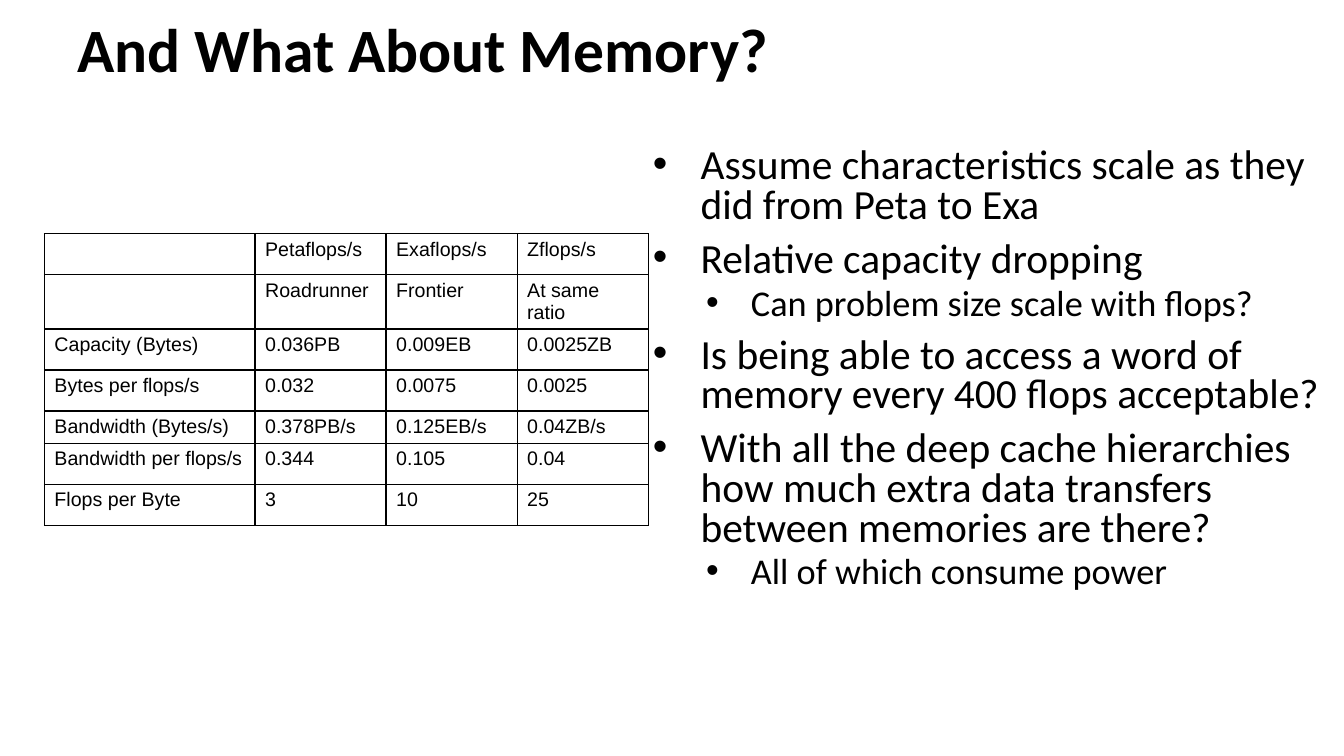
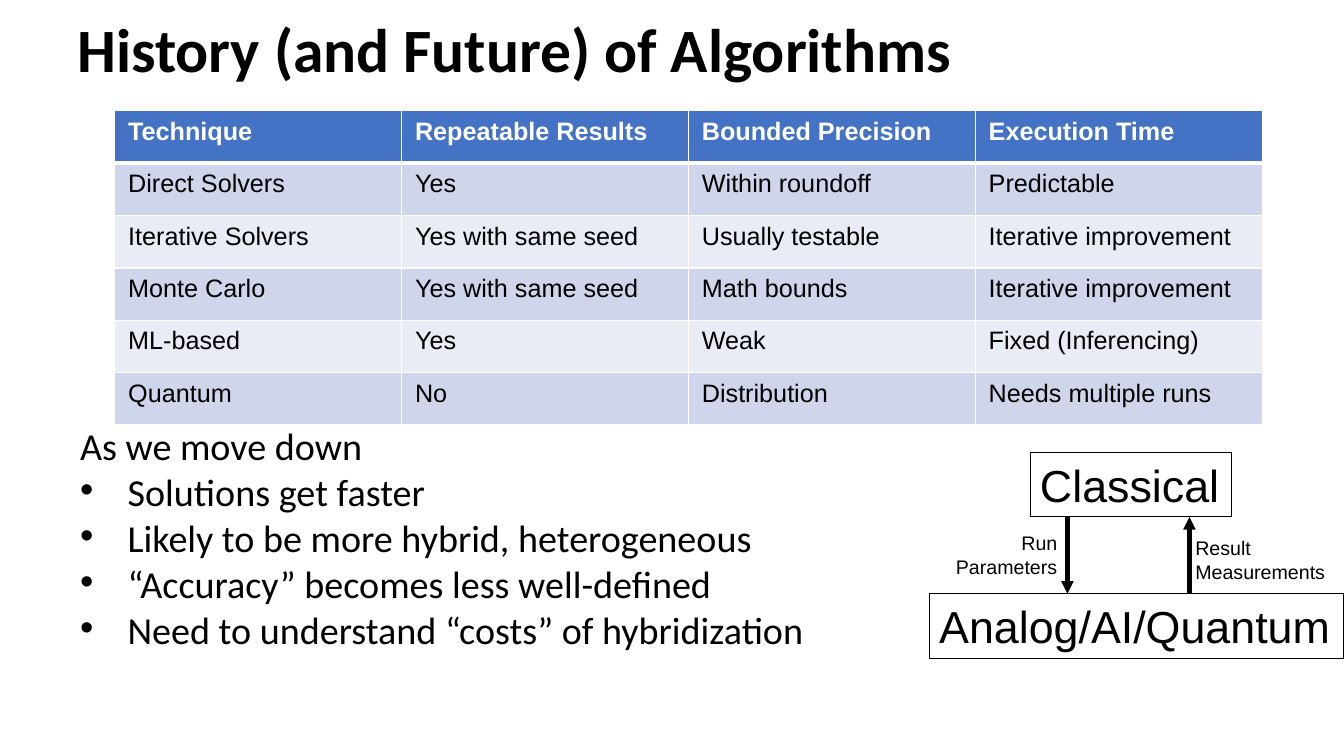
import pptx
import pptx.util
import pptx.dml.color
import pptx.enum.shapes
import pptx.enum.text
import pptx.oxml.ns
from lxml import etree

Pt = pptx.util.Pt
RGB = pptx.dml.color.RGBColor
ALIGN = pptx.enum.text.PP_ALIGN
FIT = pptx.enum.text.MSO_AUTO_SIZE
qn = pptx.oxml.ns.qn

BLACK = RGB(0x00, 0x00, 0x00)
WHITE = RGB(0xFF, 0xFF, 0xFF)
BLUE = RGB(0x44, 0x72, 0xC4)
DARK = RGB(0xCF, 0xD5, 0xEA)
LIGHT = RGB(0xE9, 0xEB, 0xF5)
HEAD, TEXT = "Calibri", "Arial"


def say(para, text, size, face, color=BLACK, bold=False):
    """Add one formatted run to a paragraph."""
    run = para.add_run()
    run.text = text
    run.font.size = Pt(size)
    run.font.name = face
    run.font.bold = bold
    run.font.color.rgb = color


def edge(cell, side, color, width):
    """Draw one border of a table cell; side is L, R, T or B."""
    line = etree.SubElement(cell._tc.get_or_add_tcPr(), qn("a:ln" + side), w=str(Pt(width)))
    fill = etree.SubElement(line, qn("a:solidFill"))
    etree.SubElement(fill, qn("a:srgbClr"), val=str(color))


# Item level: None is plain text, 0 and 1 are bullets.
# Level: (left margin, first-line indent, share of the space before)
LEVELS = {None: (2, 0, 1), 0: (36, -34, 1), 1: (72, -32, 0.5)}

SLIDES = [
    dict(
        title="And What About Memory?",
        box=(457.2, 102.2, 508.3, 368), sizes={0: 29.6, 1: 25.9}, lead=0.8,
        items=[
            (0, "Assume characteristics scale as they did from Peta to Exa"),
            (0, "Relative capacity dropping"),
            (1, "Can problem size scale with flops?"),
            (0, "Is being able to access a word of memory every 400 flops acceptable?"),
            (0, "With all the deep cache hierarchies how much extra data transfers "
                "between memories are there?"),
            (1, "All of which consume power"),
        ],
        at=(31.7, 167), cols=[150.5] + [93.6] * 3, rows=[29.3] * 4 + [23] + [29.3] * 2,
        inset=(7.2, 3.6), size=14, banded=False,
        cells=[
            ["", "Petaflops/s", "Exaflops/s", "Zflops/s"],
            ["", "Roadrunner", "Frontier", "At same ratio"],
            ["Capacity (Bytes)", "0.036PB", "0.009EB", "0.0025ZB"],
            ["Bytes per flops/s", "0.032", "0.0075", "0.0025"],
            ["Bandwidth (Bytes/s)", "0.378PB/s", "0.125EB/s", "0.04ZB/s"],
            ["Bandwidth per flops/s", "0.344", "0.105", "0.04"],
            ["Flops per Byte", "3", "10", "25"],
        ],
    ),
    dict(
        title="History (and Future) of Algorithms",
        box=(48, 306.7, 864, 180), sizes={None: 27.2, 0: 27.2}, lead=0.7,
        items=[
            (None, "As we move down"),
            (0, "Solutions get faster"),
            (0, "Likely to be more hybrid, heterogeneous"),
            (0, "“Accuracy” becomes less well-defined"),
            (0, "Need to understand “costs” of hybridization"),
        ],
        at=(82, 79.2), cols=[204.9] * 4, rows=[37.4] * 6,
        inset=(9.6, 4.8), size=18, banded=True,
        cells=[
            ["Technique", "Repeatable Results", "Bounded Precision", "Execution Time"],
            ["Direct Solvers", "Yes", "Within roundoff", "Predictable"],
            ["Iterative Solvers", "Yes with same seed", "Usually testable",
             "Iterative improvement"],
            ["Monte Carlo", "Yes with same seed", "Math bounds", "Iterative improvement"],
            ["ML-based", "Yes", "Weak", "Fixed (Inferencing)"],
            ["Quantum", "No", "Distribution", "Needs multiple runs"],
        ],
    ),
]

deck = pptx.Presentation()
deck.slide_width, deck.slide_height = Pt(960), Pt(540)
layout = deck.slide_layouts[1]
top = layout.placeholders[0]
top.left, top.top, top.width, top.height = Pt(48), Pt(-2), Pt(864), Pt(78.5)

for data in SLIDES:
    slide = deck.slides.add_slide(layout)
    para = slide.shapes.title.text_frame.paragraphs[0]
    para.alignment = ALIGN.LEFT
    para.line_spacing = 0.9
    say(para, data["title"], 44, HEAD, bold=True)

    # Bullet list
    body = slide.placeholders[1]
    body.left, body.top, body.width, body.height = map(Pt, data["box"])
    frame = body.text_frame
    frame.auto_size = FIT.NONE
    for n, (level, text) in enumerate(data["items"]):
        para = frame.add_paragraph() if n else frame.paragraphs[0]
        margin, indent, share = LEVELS[level]
        para.level = level or 0
        para.line_spacing = data["lead"]
        para.space_before = Pt(10 * share if n else 0)
        props = para._p.get_or_add_pPr()
        props.set("marL", str(Pt(margin)))
        props.set("indent", str(Pt(indent)))
        if level is None:
            etree.SubElement(props, qn("a:buNone"))
        else:
            etree.SubElement(props, qn("a:buFont"), typeface=TEXT)
            etree.SubElement(props, qn("a:buChar"), char="•")
        say(para, text, data["sizes"][level], HEAD)

    # Table
    cols, rows, banded = data["cols"], data["rows"], data["banded"]
    left, upper = data["at"]
    table = slide.shapes.add_table(len(rows), len(cols), Pt(left), Pt(upper),
                                   Pt(sum(cols)), Pt(sum(rows))).table
    table.first_row = banded
    table.horz_banding = banded
    for col, width in zip(table.columns, cols):
        col.width = Pt(width)
    for r, texts in enumerate(data["cells"]):
        table.rows[r].height = Pt(rows[r])
        header = banded and r == 0
        for c, text in enumerate(texts):
            cell = table.cell(r, c)
            across, down = map(Pt, data["inset"])
            cell.margin_left = cell.margin_right = across
            cell.margin_top = cell.margin_bottom = down
            for side in "LRTB":
                thick = banded and (r, side) in ((0, "B"), (1, "T"))
                edge(cell, side, WHITE if banded else BLACK, 3 if thick else 1)
            if banded:
                cell.fill.solid()
                cell.fill.fore_color.rgb = BLUE if header else DARK if r % 2 else LIGHT
            else:
                cell.fill.background()
            if text:
                say(cell.text_frame.paragraphs[0], text, data["size"], TEXT,
                    WHITE if header else BLACK, header)

# Hybrid loop on the last slide: boxes and labels, then arrows
LABELS = [
    (["Classical"], (735.8, 323.3, 144, 46), 32, ALIGN.LEFT, True),
    (["Analog/AI/Quantum"], (663.8, 424.1, 296, 46), 32, ALIGN.LEFT, True),
    (["Run", "Parameters"], (675.4, 375.8, 87, 41), 14, ALIGN.RIGHT, False),
    (["Result", "Measurements"], (846.7, 379.4, 108, 41), 14, ALIGN.LEFT, False),
]
for lines, place, size, align, framed in LABELS:
    label = slide.shapes.add_textbox(*map(Pt, place))
    frame = label.text_frame
    frame.word_wrap = False
    frame.auto_size = FIT.SHAPE_TO_FIT_TEXT
    if framed:
        label.line.color.rgb = BLACK
        label.line.width = Pt(0.75)
    for n, text in enumerate(lines):
        para = frame.add_paragraph() if n else frame.paragraphs[0]
        para.alignment = align
        say(para, text, size, TEXT)

for x, start, end in [(762.5, 369.3, 424.1), (849.6, 424.1, 369.3)]:
    arrow = slide.shapes.add_connector(pptx.enum.shapes.MSO_CONNECTOR.STRAIGHT,
                                       Pt(x), Pt(start), Pt(x), Pt(end))
    arrow.line.color.rgb = BLACK
    arrow.line.width = Pt(3)
    etree.SubElement(arrow.line._get_or_add_ln(), qn("a:tailEnd"), type="triangle")
    etree.SubElement(arrow._element.spPr, qn("a:effectLst"))

deck.save("out.pptx")
